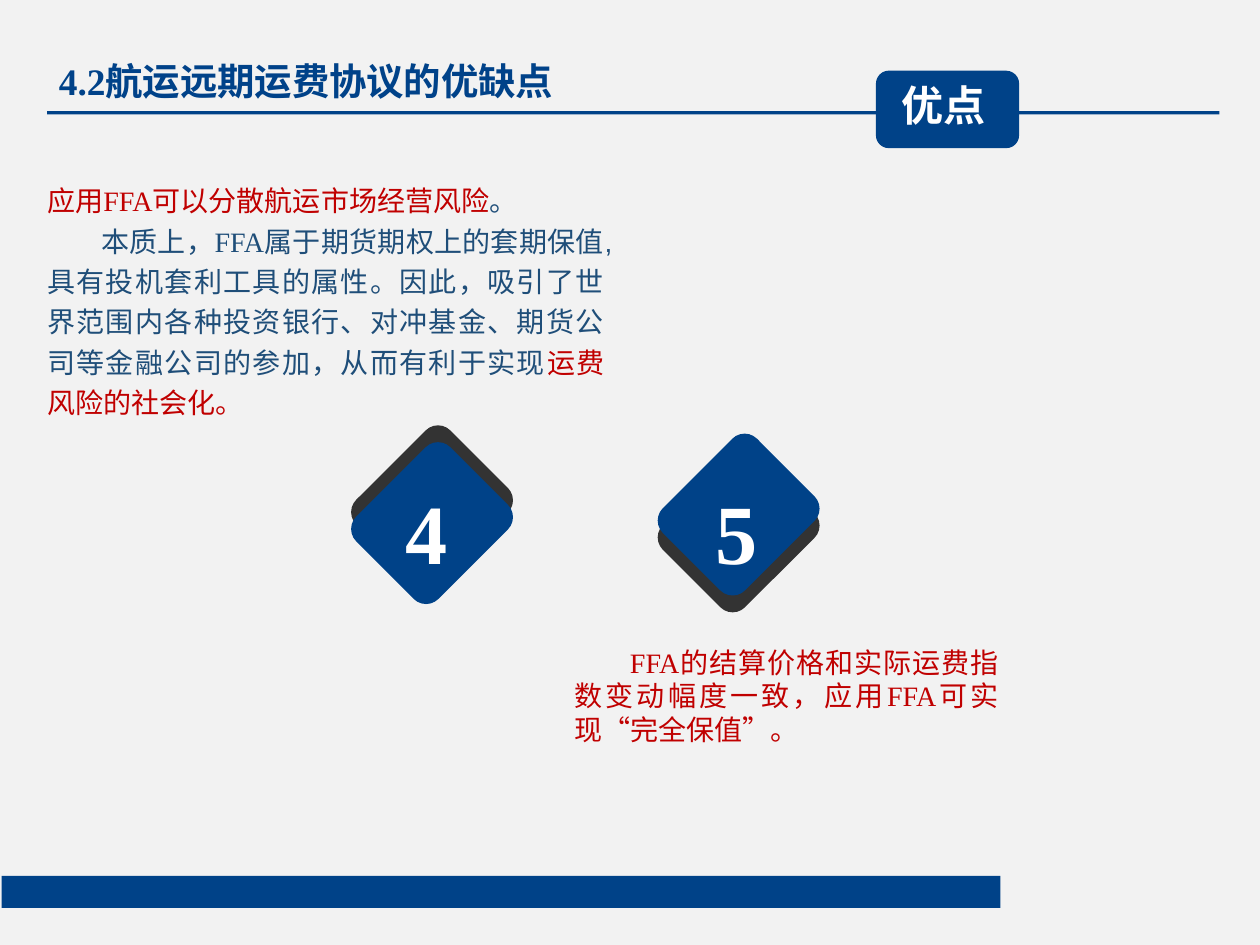
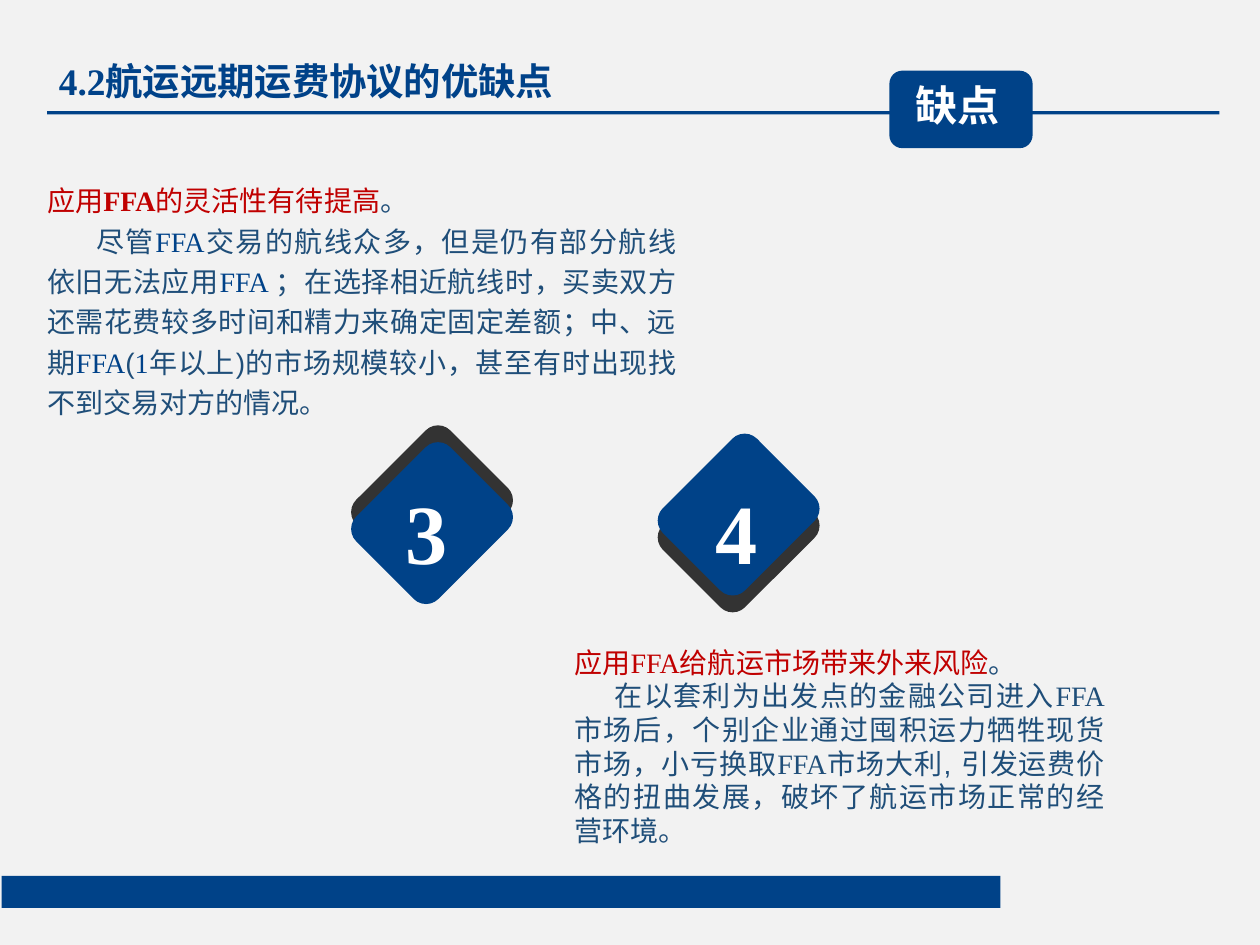
from dataclasses import dataclass
from typing import NamedTuple

from lxml.etree import SubElement
from pptx import Presentation
from pptx.dml.color import RGBColor
from pptx.enum.shapes import MSO_SHAPE as Kind
from pptx.enum.text import MSO_ANCHOR as Anchor, MSO_AUTO_SIZE as Fit, PP_ALIGN as Align
from pptx.oxml.ns import qn
from pptx.shapes.autoshape import Shape
from pptx.slide import Slide, SlideLayout
from pptx.text.text import TextFrame, _Paragraph as Par
from pptx.util import Inches, Pt

NAVY = RGBColor(0x00, 0x42, 0x88)
BLUE = RGBColor(0x00, 0x42, 0x89)
STEEL = RGBColor(0x1F, 0x4E, 0x79)
RED = RGBColor(0xC0, 0x00, 0x00)
DARK = RGBColor(0x33, 0x33, 0x33)
WHITE = RGBColor(0xFF, 0xFF, 0xFF)
PALE = RGBColor(0xF2, 0xF2, 0xF2)
SANS, SERIF = "Arial", "Times New Roman"


class Box(NamedTuple):
    """Place and size in inches."""

    left: float
    top: float
    width: float
    height: float


class Span(NamedTuple):
    """Run of text in one colour and face."""

    text: str
    tint: RGBColor = STEEL
    face: str = SANS
    bold: bool = False


@dataclass
class Para:
    """Justified paragraph with a first-line indent."""

    spans: list[Span]
    indent: float = 0


@dataclass
class Point:
    """Numbered argument and its text width."""

    label: str
    width: float
    height: float
    paras: list[Para]


@dataclass
class Spot:
    """Fixed places and spacing of one numbered argument."""

    left: float
    top: float
    num: float
    gem: float
    back: float
    front: float
    turn: int
    pitch: float


@dataclass
class Page:
    """Content of one slide."""

    badge: str
    edge: float
    points: list[Point]


BARS = [Box(0.01, 5.2, 5.93, 0.19), Box(0.28, 0.66, 6.96, 0.02)]
SPOTS = [
    Spot(0.28, 1.05, 2.31, 2.17, 2.66, 2.76, 315, 1.2),
    Spot(3.41, 3.83, 4.15, 3.99, 2.81, 2.71, 135, 1.0),
]
TITLE = [Span("4.2", BLUE, SERIF), Span("航运远期运费协议的优缺点", BLUE)]
FFA = Span("FFA", STEEL, SERIF)
RED_FFA = FFA._replace(tint=RED)
BLUE_FFA = FFA._replace(tint=BLUE)

PAGES = [
    Page("优点", 5.2, [
        Point("4", 3.31, 1.45, [
            Para([Span("应用", RED), RED_FFA, Span("可以分散航运市场经营风险", RED), Span("。")]),
            Para([
                Span("本质上，"), FFA,
                Span("属于期货期权上的套期保值,具有投机套利工具的属性。因此，吸引了世界范围内"
                     "各种投资银行、对冲基金、期货公司等金融公司的参加，从而有利于实现"),
                Span("运费风险的社会化。", RED),
            ], 0.32),
        ]),
        Point("5", 2.52, 0.61, [
            Para([
                RED_FFA, Span("的结算价格和实际运费指数变动幅度一致，应用", RED),
                RED_FFA, Span("可实现“完全保值”。", RED),
            ], 0.33),
        ]),
    ]),
    Page("缺点", 5.28, [
        Point("3", 3.74, 1.45, [
            Para([
                Span("应用", RED), RED_FFA._replace(bold=True),
                Span("的灵活性有待提高", RED), Span("。"),
            ]),
            Para([
                Span("尽管"), BLUE_FFA,
                Span("交易的航线众多，但是仍有部分航线依旧无法应用"),
                BLUE_FFA._replace(text="FFA "),
                Span("；在选择相近航线时，买卖双方还需花费较多时间和精力来确定固定差额；中、远期"),
                BLUE_FFA, Span("("), Span("1", BLUE, SERIF),
                Span("年以上)的市场规模较小，甚至有时出现找不到交易对方的情况。"),
            ], 0.29),
        ]),
        Point("4", 3.15, 1.21, [
            Para([Span("应用", RED), RED_FFA, Span("给航运市场带来外来风险", RED), Span("。")]),
            Para([
                Span("在以套利为出发点的金融公司进入"), FFA,
                Span("市场后，个别企业通过囤积运力牺牲现货市场，小亏换取"), FFA,
                Span("市场大利, 引发运费价格的扭曲发展，破坏了航运市场正常的经营环境。"),
            ], 0.24),
        ]),
    ]),
]


def place(shape: Shape, box: Box) -> None:
    """Move and size a shape."""
    shape.left, shape.top, shape.width, shape.height = map(Inches, box)


def pad(frame: TextFrame, left: float, top: float, right: float, base: float) -> None:
    """Set the insets and fixed size of a text frame."""
    frame.margin_left, frame.margin_top = Inches(left), Inches(top)
    frame.margin_right, frame.margin_bottom = Inches(right), Inches(base)
    frame.word_wrap, frame.auto_size = True, Fit.NONE


def block(slide: Slide, kind: Kind, box: Box, tint: RGBColor) -> Shape:
    """Draw a flat filled shape."""
    shape = slide.shapes.add_shape(kind, *map(Inches, box))
    shape.shadow.inherit = False
    shape.fill.solid()
    shape.fill.fore_color.rgb = tint
    shape.line.fill.background()
    return shape


def style(para: Par, size: int, face: str, tint: RGBColor) -> None:
    """Format a bold left-aligned paragraph."""
    para.alignment = Align.LEFT
    font = para.font
    font.size, font.name, font.bold = Pt(size), face, True
    font.color.rgb = tint


def head(slide: Slide) -> None:
    """Fill the title placeholder."""
    shape = slide.shapes.title
    place(shape, Box(0.28, 0.31, 3.4, 0.34))
    frame = shape.text_frame
    pad(frame, 0.07, 0.04, 0.07, 0.04)
    frame.vertical_anchor = Anchor.MIDDLE
    para = frame.paragraphs[0]
    para.space_before = Pt(0)
    style(para, 16, SANS, BLUE)
    for span in TITLE:
        run = para.add_run()
        run.text, run.font.name = span.text, span.face


def write(para: Par, item: Para, pitch: float) -> None:
    """Write one body paragraph without a bullet."""
    props = para._p.get_or_add_pPr()
    props.set("marL", "0")
    props.set("indent", str(Inches(item.indent)))
    SubElement(props, qn("a:buNone"))
    para.alignment = Align.JUSTIFY
    para.line_spacing, para.space_before = pitch, Pt(0)
    para.font.size = Pt(12)
    for span in item.spans:
        run = para.add_run()
        run.text = span.text
        run.font.name, run.font.bold = span.face, span.bold
        run.font.color.rgb = span.tint


def body(shape: Shape, point: Point, spot: Spot) -> None:
    """Fill a body placeholder with an argument."""
    place(shape, Box(spot.left, spot.top, point.width, point.height))
    frame = shape.text_frame
    pad(frame, 0, 0, 0, 0)
    for i, item in enumerate(point.paras):
        para = frame.add_paragraph() if i else frame.paragraphs[0]
        write(para, item, spot.pitch)


def gem(slide: Slide, label: str, spot: Spot) -> None:
    """Draw a numbered double diamond."""
    for top, tint in ((spot.back, DARK), (spot.front, NAVY)):
        tile = block(slide, Kind.ROUNDED_RECTANGLE, Box(spot.gem, top, 0.79, 0.69), tint)
        tile.adjustments[0] = 0.15
        tile.rotation = spot.turn
    text = slide.shapes.add_textbox(*map(Inches, Box(spot.num, 2.9, 0.56, 0.5)))
    frame = text.text_frame
    pad(frame, 0.1, 0.05, 0.1, 0.05)
    frame.vertical_anchor = Anchor.MIDDLE
    frame.text = label
    style(frame.paragraphs[0], 36, SERIF, WHITE)


def badge(slide: Slide, label: str, left: float) -> None:
    """Draw the rounded label on the title rule."""
    shape = block(slide, Kind.ROUNDED_RECTANGLE, Box(left, 0.42, 0.85, 0.46), NAVY)
    frame = shape.text_frame
    pad(frame, 0.13, 0, 0, 0.06)
    frame.vertical_anchor = Anchor.MIDDLE
    frame.text = label
    style(frame.paragraphs[0], 18, "Calibri", WHITE)


def bands(layout: SlideLayout, slide: Slide) -> None:
    """Give the layout its background and bars."""
    fill = layout.background.fill
    fill.solid()
    fill.fore_color.rgb = PALE
    for spare in list(layout.placeholders)[3:]:
        layout.shapes.element.remove(spare.element)
    for box in BARS:
        bar = block(slide, Kind.RECTANGLE, box, NAVY)
        layout.shapes.element.append(bar.element)


def build(slide: Slide, page: Page) -> None:
    """Draw one slide."""
    head(slide)
    for i, (point, spot) in enumerate(zip(page.points, SPOTS), 1):
        body(slide.placeholders[i], point, spot)
        gem(slide, point.label, spot)
    badge(slide, page.badge, page.edge)


def main() -> None:
    """Build and save the presentation."""
    deck = Presentation()
    deck.slide_width, deck.slide_height = Inches(7.48), Inches(5.61)
    layout = deck.slide_layouts[3]
    slides = [deck.slides.add_slide(layout) for _ in PAGES]
    bands(layout, slides[0])
    for slide, page in zip(slides, PAGES):
        build(slide, page)
    deck.save("out.pptx")


if __name__ == "__main__":
    main()
